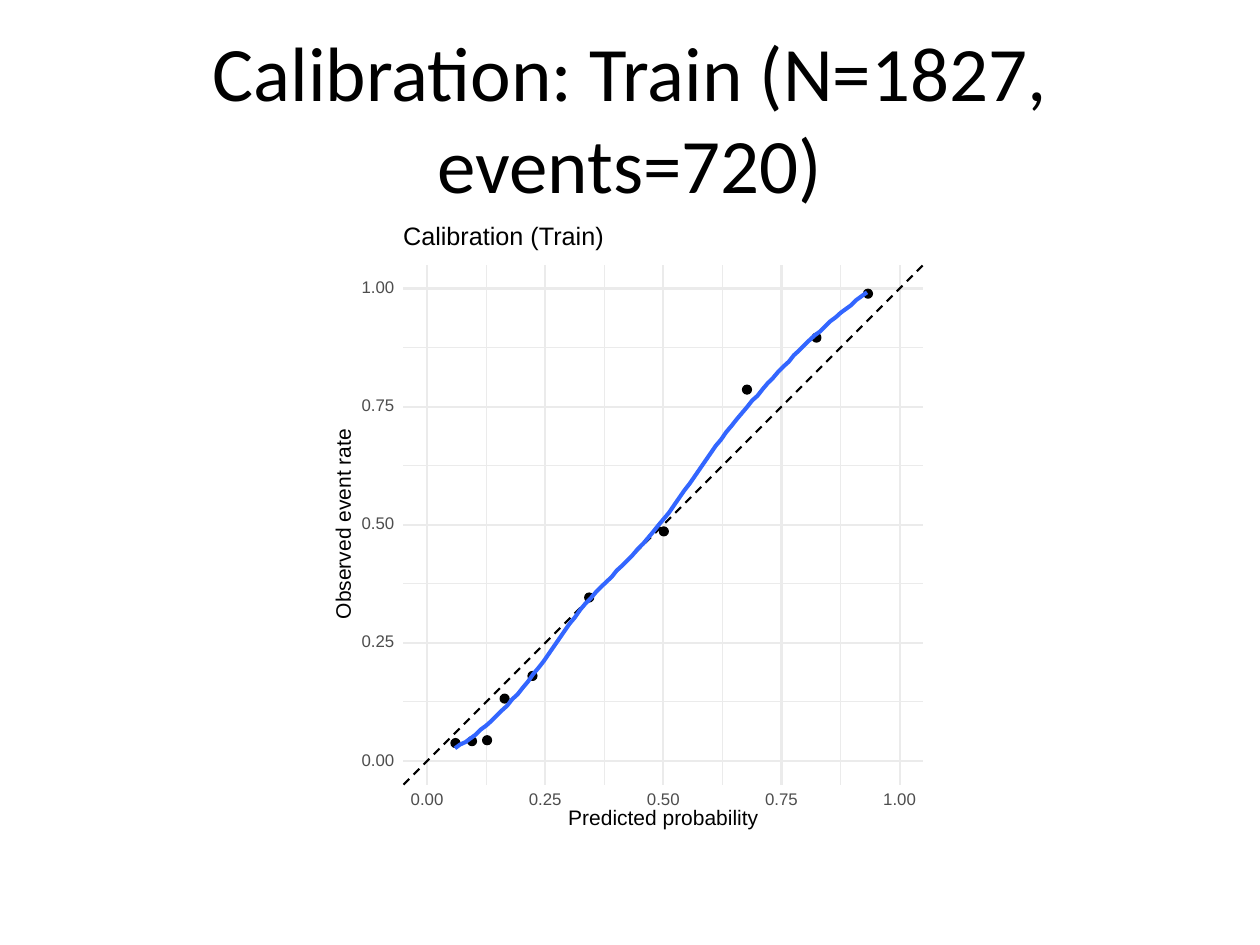
import pptx
import pptx.dml.color
import pptx.enum.dml
import pptx.enum.shapes
import pptx.enum.text
import pptx.oxml.xmlchemy
import pptx.util

Inches = pptx.util.Inches
Pt = pptx.util.Pt

# All values are percentages: (predicted probability, observed event rate).
OBSERVED = [
    (6, 3.8), (9.5, 4.2), (12.7, 4.4), (16.4, 13.2), (22.3, 18),
    (34.3, 34.6), (50.1, 48.6), (67.7, 78.6), (82.4, 89.6), (93.3, 98.9),
]
FITTED_FIRST, FITTED_LAST = 5.9, 93.1
FITTED = [
    2.7, 3.5, 4.0, 4.8, 5.6, 6.7, 7.5, 8.5, 9.6, 10.7,
    11.7, 13.1, 14.1, 15.5, 16.8, 18.4, 19.7, 21.1, 22.7, 24.3,
    25.9, 27.5, 29.1, 30.4, 32.0, 33.3, 34.4, 35.7, 36.8, 37.9,
    38.9, 40.3, 41.3, 42.4, 43.5, 44.8, 45.9, 47.2, 48.5, 49.9,
    51.2, 52.5, 54.1, 55.7, 57.3, 58.7, 60.3, 61.9, 63.5, 65.1,
    66.7, 68.0, 69.6, 70.9, 72.3, 73.6, 74.9, 76.3, 77.3, 78.7,
    80.0, 81.1, 82.4, 83.5, 84.5, 85.9, 86.9, 88.0, 89.1, 90.1,
    90.9, 92.0, 93.1, 93.9, 94.9, 95.7, 96.5, 97.6, 98.4, 99.2,
]
AXIS_MIN, AXIS_MAX = -5, 105
MAJOR_TICKS = [0, 25, 50, 75, 100]
MINOR_TICKS = [12.5, 37.5, 62.5, 87.5]
ORIGIN_X, ORIGIN_Y, AXIS_LENGTH = 3.39, 6.04, 3.75


def color(hex_string):
    return pptx.dml.color.RGBColor.from_string(hex_string)


def plot_x(percent):
    return ORIGIN_X + AXIS_LENGTH * percent / 100


def plot_y(percent):
    return ORIGIN_Y - AXIS_LENGTH * percent / 100


class CalibrationSlide:
    black, white, grid, gray, blue = "000000", "FFFFFF", "EBEBEB", "4D4D4D", "3366FF"
    title_font, plot_font = "Calibri", "Arial"

    def __init__(self, presentation):
        self.slide = presentation.slides.add_slide(presentation.slide_layouts[5])
        self.plot = self.slide.shapes.add_group_shape().shapes

    def title(self, text):
        shape = self.slide.shapes.title
        shape.left, shape.top = Inches(0.5), Inches(0.3)
        shape.width, shape.height = Inches(9), Inches(1.25)
        shape.text_frame.text = text
        paragraph = shape.text_frame.paragraphs[0]
        paragraph.alignment = pptx.enum.text.PP_ALIGN.CENTER
        self.format_run(paragraph.runs[0], 44, self.title_font, self.black)

    def format_run(self, run, size, font_name, font_color):
        run.font.size = Pt(size)
        run.font.name = font_name
        run.font.color.rgb = color(font_color)

    def solid(self, preset, left, top, width, height, fill, line_width=None):
        shape = self.plot.add_shape(
            preset, Inches(left), Inches(top), Inches(width), Inches(height))
        shape.shadow.inherit = False
        shape.fill.solid()
        shape.fill.fore_color.rgb = color(fill)
        if line_width is None:
            shape.line.fill.background()
        else:
            self.stroke(shape, fill, line_width)

    def stroke(self, shape, line_color, width):
        shape.line.color.rgb = color(line_color)
        shape.line.width = Pt(width)

    def line(self, start, end, line_color, width, dashed=False):
        """Draw a straight line between two (x, y) percentages."""
        connector = self.plot.add_connector(
            pptx.enum.shapes.MSO_CONNECTOR.STRAIGHT,
            Inches(plot_x(start[0])), Inches(plot_y(start[1])),
            Inches(plot_x(end[0])), Inches(plot_y(end[1])))
        self.stroke(connector, line_color, width)
        if dashed:
            connector.line.dash_style = pptx.enum.dml.MSO_LINE.DASH
        properties = connector._element.spPr
        properties.append(pptx.oxml.xmlchemy.OxmlElement("a:effectLst"))

    def grid_lines(self, ticks, width):
        for tick in ticks:
            self.line((AXIS_MIN, tick), (AXIS_MAX, tick), self.grid, width)
        for tick in ticks:
            self.line((tick, AXIS_MIN), (tick, AXIS_MAX), self.grid, width)

    def marker(self, predicted, observed, diameter=0.07):
        self.solid(
            pptx.enum.shapes.MSO_SHAPE.OVAL,
            plot_x(predicted) - diameter / 2, plot_y(observed) - diameter / 2,
            diameter, diameter, self.black, 0.77)

    def curve(self, points, line_color, width):
        vertices = [(Inches(plot_x(x)), Inches(plot_y(y))) for x, y in points]
        builder = self.plot.build_freeform(*vertices[0])
        builder.add_line_segments(vertices[1:], close=False)
        shape = builder.convert_to_shape()
        shape.shadow.inherit = False
        shape.fill.background()
        self.stroke(shape, line_color, width)

    def label(self, text, left, top, width, height, size, font_color, rotation=0):
        shape = self.plot.add_textbox(
            Inches(left), Inches(top), Inches(width), Inches(height))
        shape.rotation = rotation
        frame = shape.text_frame
        frame.margin_left = frame.margin_right = 0
        frame.margin_top = frame.margin_bottom = 0
        frame.word_wrap = False
        frame.vertical_anchor = pptx.enum.text.MSO_ANCHOR.MIDDLE
        frame.text = text
        paragraph = frame.paragraphs[0]
        paragraph.line_spacing = Pt(size)
        self.format_run(paragraph.runs[0], size, self.plot_font, font_color)

    def tick_labels(self):
        width, height = 0.26, 0.1
        for tick in MAJOR_TICKS:
            text = f"{tick / 100:.2f}"
            self.label(text, 2.87, plot_y(tick) - height / 2, width, height, 9.6, self.gray)
            self.label(text, plot_x(tick) - width / 2, 6.3, width, height, 9.6, self.gray)


def main():
    presentation = pptx.Presentation()
    presentation.slide_width, presentation.slide_height = Inches(10), Inches(7.5)

    page = CalibrationSlide(presentation)
    page.title("Calibration: Train (N=1827, events=720)")

    rectangle = pptx.enum.shapes.MSO_SHAPE.RECTANGLE
    page.solid(rectangle, 0.5, 1.75, 9, 4.95, page.white, 0.75)
    page.solid(rectangle, 2.59, 1.75, 4.82, 4.95, page.white)
    page.grid_lines(MINOR_TICKS, 0.58)
    page.grid_lines(MAJOR_TICKS, 1.16)
    page.line((AXIS_MIN, AXIS_MIN), (AXIS_MAX, AXIS_MAX), page.black, 1.16, dashed=True)

    for predicted, observed in OBSERVED:
        page.marker(predicted, observed)
    step = (FITTED_LAST - FITTED_FIRST) / (len(FITTED) - 1)
    fitted_points = [(FITTED_FIRST + i * step, rate) for i, rate in enumerate(FITTED)]
    page.curve(fitted_points, page.blue, 2.33)

    page.tick_labels()
    page.label("Predicted probability", 4.51, 6.43, 1.51, 0.15, 12, page.black)
    page.label("Observed event rate", 1.98, 4.1, 1.51, 0.12, 12, page.black, rotation=270)
    page.label("Calibration (Train)", 3.2, 1.79, 1.6, 0.19, 14.4, page.black)

    presentation.save("out.pptx")


if __name__ == "__main__":
    main()
